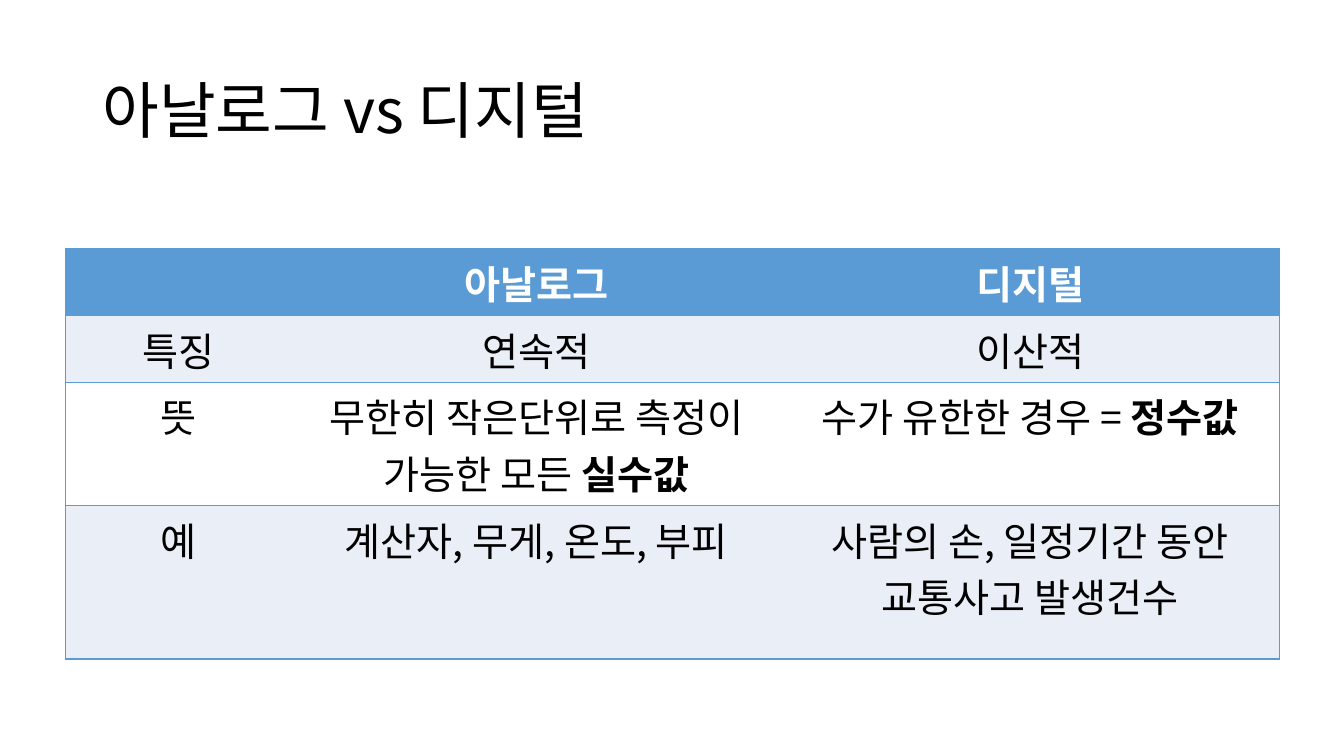
"""Build a slide with a table comparing analog and digital."""
from lxml.etree import SubElement
from pptx import Presentation
from pptx.dml.color import RGBColor
from pptx.enum.text import MSO_ANCHOR, PP_ALIGN
from pptx.oxml.ns import qn
from pptx.util import Pt

FONT = "Noto Sans CJK KR"
BLUE, PALE, WHITE, BLACK = "5B9BD5", "EAEFF7", "FFFFFF", "000000"


def add_run(p, text, size, color, bold=False):
    r = p.add_run()
    r.text = text
    r.font.size = Pt(size)
    r.font.bold = bold
    r.font.color.rgb = RGBColor.from_string(color)
    r.font.name = FONT
    SubElement(r.font._element, qn("a:ea"), typeface=FONT)


def add_border(cell, side, color):
    ln = SubElement(cell._tc.get_or_add_tcPr(), qn(f"a:ln{side}"), w=str(Pt(1)))
    if color:
        fill = SubElement(ln, qn("a:solidFill"))
        SubElement(fill, qn("a:srgbClr"), val=color)
    else:
        SubElement(ln, qn("a:noFill"))


prs = Presentation()
prs.slide_width, prs.slide_height = Pt(960), Pt(540)
s = prs.slides.add_slide(prs.slide_layouts[5])

title = s.shapes.title
title.left, title.top, title.width, title.height = Pt(66), Pt(28.75), Pt(828), Pt(104.4)
tf = title.text_frame
tf.word_wrap = True
tf.vertical_anchor = MSO_ANCHOR.MIDDLE
p = tf.paragraphs[0]
p.alignment = PP_ALIGN.LEFT
p.line_spacing = 0.9
add_run(p, "아날로그 vs 디지털", 44, BLACK)

rows = [
    [[], [("아날로그", True)], [("디지털", True)]],
    [[("특징", False)], [("연속적", False)], [("이산적", False)]],
    [[("뜻", False)],
     [("무한히 작은단위로 측정이 가능한 모든 ", False), ("실수값", True)],
     [("수가 유한한 경우 = ", False), ("정수값", True)]],
    [[("예", False)], [("계산자, 무게, 온도, 부피", False)],
     [("사람의 손, 일정기간 동안 교통사고 발생건수", False)]],
]
widths = [161.3, 349.9, 355.7]
heights = [39.6, 41.8, 82.1, 109.4]
fills = [BLUE, PALE, WHITE, PALE]

table = s.shapes.add_table(len(rows), len(widths), Pt(46.8), Pt(177.8),
                           Pt(sum(widths)), Pt(sum(heights))).table
table.first_row = table.horz_banding = False
for column, width in zip(table.columns, widths):
    column.width = Pt(width)

for i, row in enumerate(rows):
    table.rows[i].height = Pt(heights[i])
    for j, runs in enumerate(row):
        cell = table.cell(i, j)
        add_border(cell, "L", BLUE if j == 0 else None)
        add_border(cell, "R", BLUE if j == len(row) - 1 else None)
        add_border(cell, "T", BLUE)
        add_border(cell, "B", BLUE)
        cell.fill.solid()
        cell.fill.fore_color.rgb = RGBColor.from_string(fills[i])
        p = cell.text_frame.paragraphs[0]
        p.alignment = PP_ALIGN.CENTER
        for text, bold in runs:
            add_run(p, text, 28, WHITE if i == 0 else BLACK, bold)

prs.save("out.pptx")
